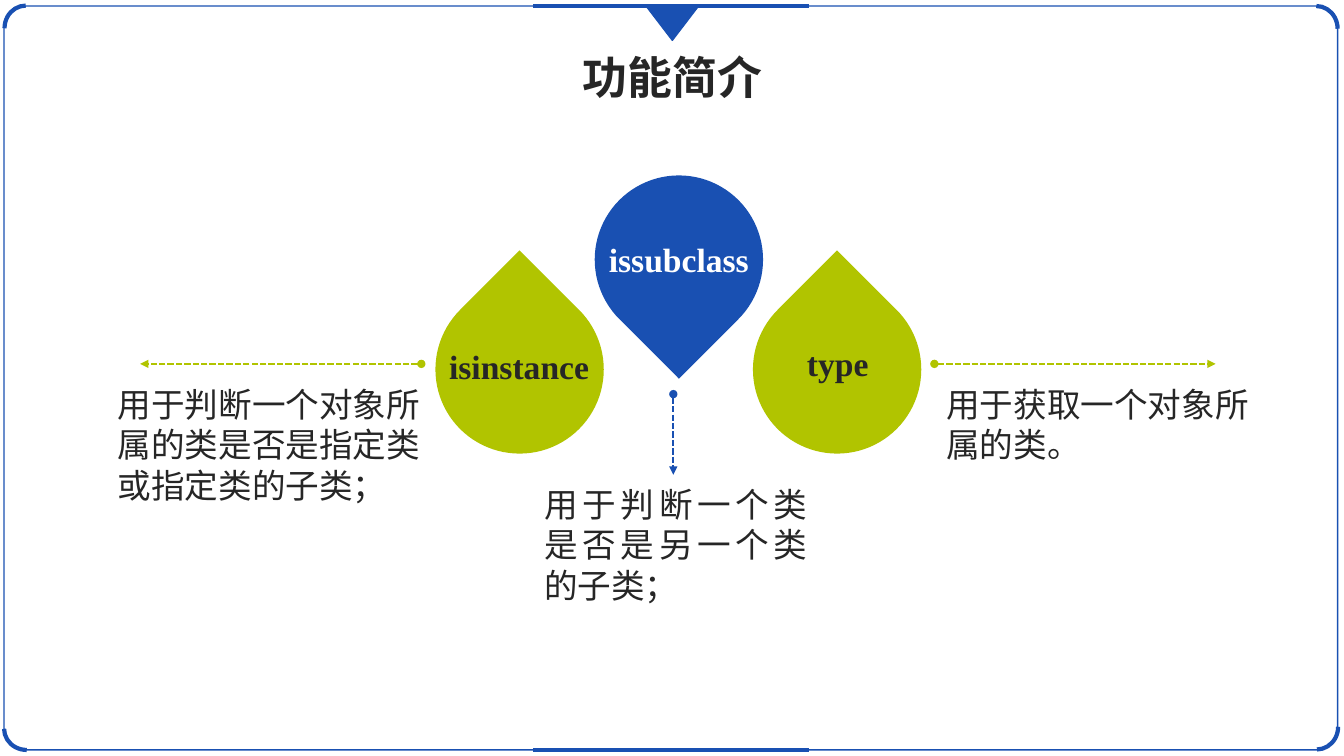
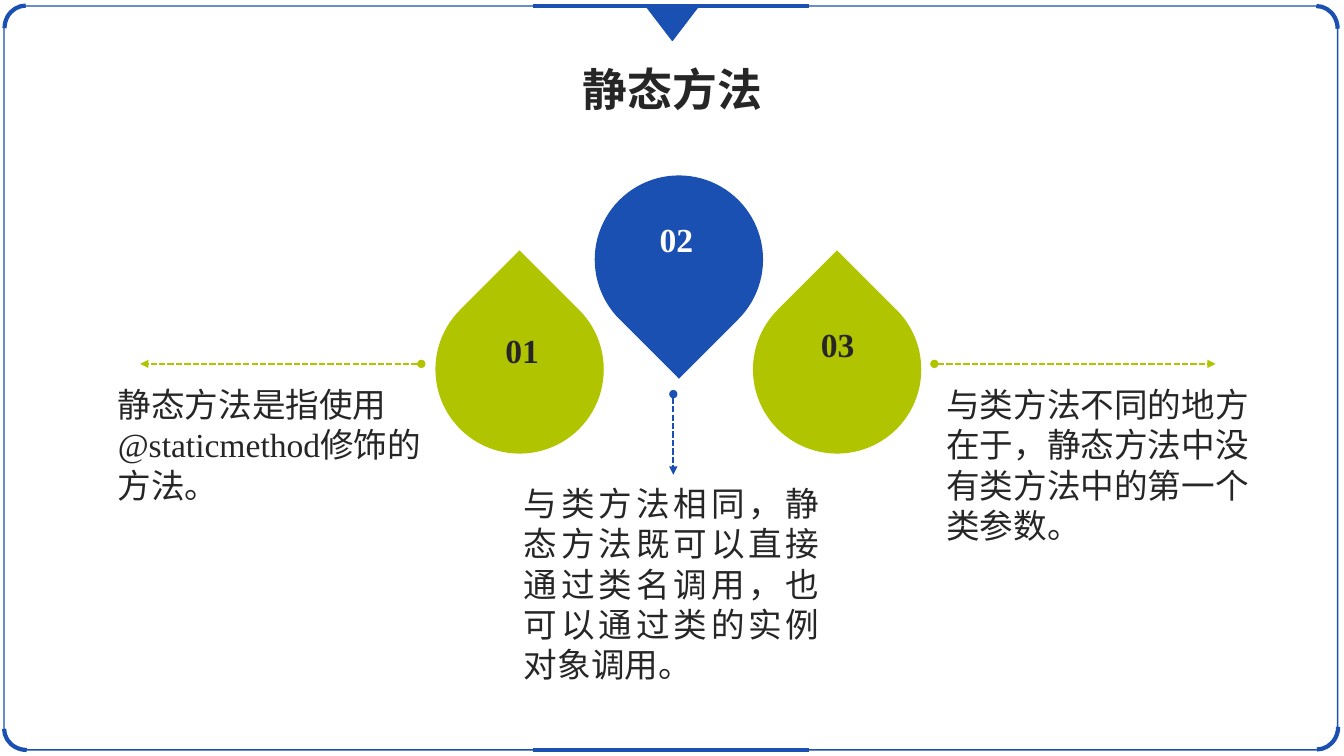
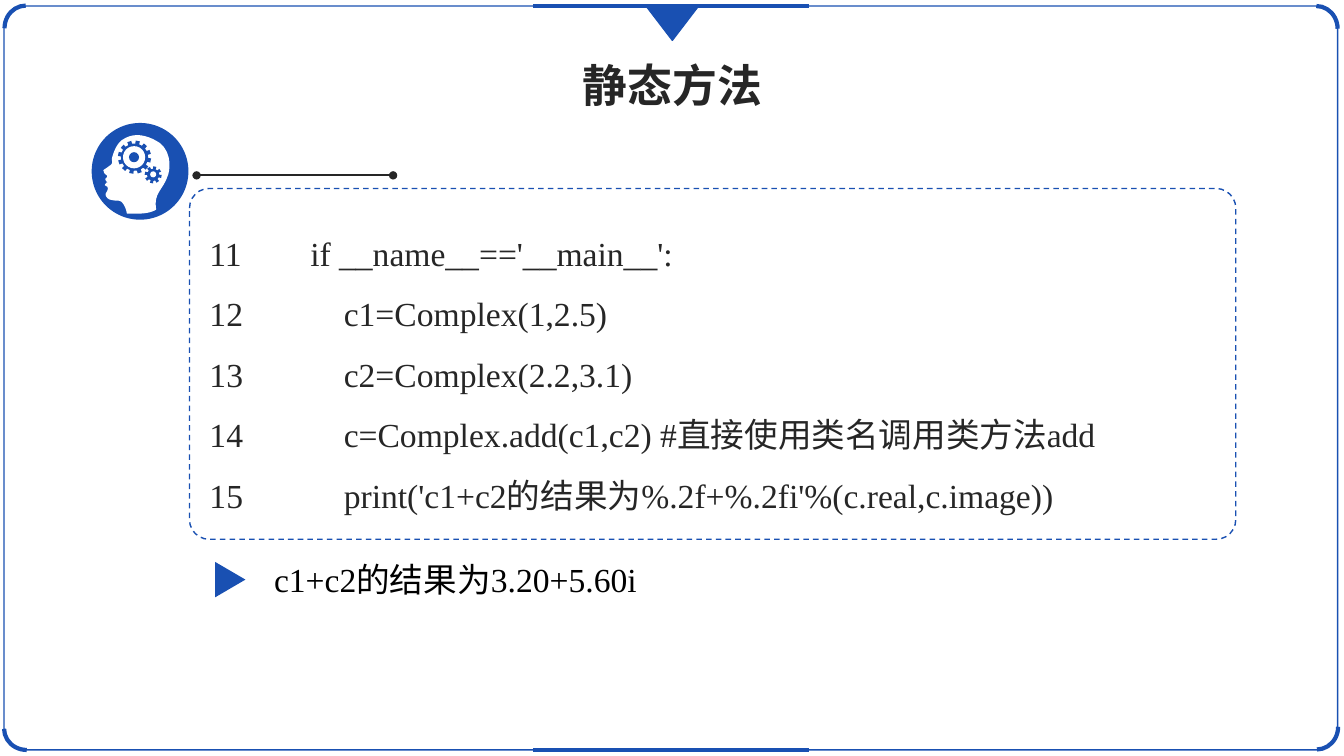
import math

from lxml import etree
from pptx import Presentation
from pptx import util as u
from pptx.dml.color import RGBColor
from pptx.enum import dml, shapes, text
from pptx.oxml import ns

PX = 9144  # EMU per px, 100 px to the inch
COLORS = {"blue": "1950B2", "green": "B1C400", "dark": "262626", "white": "FFFFFF", "black": "000000"}
RGB = {name: RGBColor.from_string(value) for name, value in COLORS.items()}
SERIF, SANS = "Times New Roman", "Noto Sans CJK SC"
KIND = shapes.MSO_SHAPE
LEFT, CENTER, JUSTIFY = text.PP_ALIGN.LEFT, text.PP_ALIGN.CENTER, text.PP_ALIGN.JUSTIFY


def add_shape(slide, kind, box, fill=None, line=None, width=1, rotation=0):
    shape = slide.shapes.add_shape(kind, *[value * PX for value in box])
    shape.shadow.inherit = False
    shape.rotation = rotation
    if fill:
        shape.fill.solid()
        shape.fill.fore_color.rgb = RGB[fill]
    else:
        shape.fill.background()
    if line:
        shape.line.color.rgb = RGB[line]
        shape.line.width = u.Pt(width)
    else:
        shape.line.fill.background()
    return shape


def add_line(slide, ends, color, width, dash=None, head=None, tail=None):
    line = slide.shapes.add_connector(shapes.MSO_CONNECTOR.STRAIGHT, *[value * PX for value in ends])
    line.line.color.rgb = RGB[color]
    line.line.width = u.Pt(width)
    if dash:
        line.line.dash_style = dash
    for tag, kind in (("a:headEnd", head), ("a:tailEnd", tail)):
        if kind:
            etree.SubElement(line.line._get_or_add_ln(), ns.qn(tag), type=kind)
    etree.SubElement(line._element.spPr, ns.qn("a:effectLst"))


presentation = Presentation()
presentation.slide_height = 750 * PX
presentation.slide_width = presentation.slide_height * 16 // 9
slides = [presentation.slides.add_slide(presentation.slide_layouts[6]) for _ in range(3)]

# Shared frame
for slide in slides:
    frame = add_shape(slide, KIND.ROUNDED_RECTANGLE, (4, 6, 1323, 738), line="blue")
    frame.adjustments[0] = 0.029
    for left, top, width, height, rotation in (
        (3, 7, 45, 42, 270), (4, 702, 45, 42, 180), (1285, 6, 42, 45, 0), (1284, 700, 45, 42, 90),
    ):
        add_shape(slide, KIND.ARC, (left, top, width, height), line="blue", width=3, rotation=rotation)
    for y in (6, 744):
        add_line(slide, (529, y, 803, y), "blue", 3)
    add_shape(slide, KIND.ISOSCELES_TRIANGLE, (641, 6, 52, 34), "blue", "blue", rotation=180)

# Drops and arrows of the first two slides
for slide in slides[:2]:
    for left, top, color, rotation in (
        (432, 283, "green", 315), (590, 174, "blue", 135), (747, 283, "green", 315),
    ):
        add_shape(slide, KIND.TEAR, (left, top, 167, 167), color, rotation=rotation)
    for ends, color in (
        ((418, 361, 139, 361), "green"), ((668, 391, 668, 471), "blue"), ((927, 361, 1206, 361), "green"),
    ):
        add_line(slide, ends, color, 1.5, dml.MSO_LINE.SQUARE_DOT, "oval", "triangle")

# Code frame, rule and result marker
code_slide = slides[2]
add_line(code_slide, (195, 174, 390, 174), "dark", 1.5, head="oval", tail="oval")
code_frame = add_shape(code_slide, KIND.ROUNDED_RECTANGLE, (188, 187, 1038, 348), line="blue")
code_frame.adjustments[0] = 0.056
code_frame.line.dash_style = dml.MSO_LINE.DASH
add_shape(code_slide, KIND.ISOSCELES_TRIANGLE, (211, 560, 35, 30), "blue", rotation=90)

# Thinking head: cubic curves, each with two controls and an end
add_shape(code_slide, KIND.OVAL, (91, 122, 96, 96), "blue")
head_curves = [
    (141, 133, 131, 132, 121, 139), (114, 144, 111, 157, 111, 158),
    (111, 160, 113, 162, 108, 165), (103, 169, 102, 168, 103, 170),
    (103, 172, 105, 173, 106, 174), (106, 174, 107, 175, 106, 176),
    (105, 177, 104, 177, 105, 179), (106, 181, 108, 181, 109, 181),
    (109, 181, 106, 181, 106, 181), (105, 182, 104, 183, 104, 184),
    (105, 184, 106, 185, 106, 185), (107, 185, 107, 187, 107, 187),
    (107, 189, 106, 190, 105, 192), (104, 193, 106, 197, 109, 198),
    (113, 199, 114, 199, 117, 199), (122, 199, 125, 206, 126, 212),
    (128, 212, 134, 212, 136, 212), (143, 212, 150, 211, 155, 208),
    (152, 191, 162, 189, 167, 173), (169, 166, 171, 146, 152, 138),
]
head = [(152, 138)]
for x1, y1, x2, y2, x3, y3 in head_curves:
    x0, y0 = head[-1]
    for step in range(1, 9):
        t = step / 8
        weights = ((1 - t) ** 3, 3 * t * (1 - t) ** 2, 3 * t * t * (1 - t), t ** 3)
        head.append(tuple(sum(w * v for w, v in zip(weights, values))
                          for values in ((x0, x1, x2, x3), (y0, y1, y2, y3))))

# Gears: four corners to a tooth
outlines = [(head, "white")]
for center_x, center_y, root, tip, teeth in ((133.5, 156, 13.5, 16.5, 12), (152, 173.5, 6, 8.5, 8)):
    gear = []
    for tooth in range(teeth):
        for offset, radius in ((-0.28, root), (-0.24, tip), (0.24, tip), (0.28, root)):
            angle = 2 * math.pi * (tooth + offset) / teeth + 0.2
            gear.append((center_x + radius * math.cos(angle), center_y + radius * math.sin(angle)))
    outlines.append((gear, "blue"))
for points, color in outlines:
    points = [(x * PX, y * PX) for x, y in points]
    builder = code_slide.shapes.build_freeform(*points[0], scale=1.0)
    builder.add_line_segments(points[1:], close=True)
    outline = builder.convert_to_shape()
    outline.shadow.inherit = False
    outline.fill.solid()
    outline.fill.fore_color.rgb = RGB[color]
    outline.line.fill.background()
for left, top, size, color in ((122, 145, 22, "white"), (128, 151, 10, "blue"), (149, 170, 6, "white")):
    add_shape(code_slide, KIND.OVAL, (left, top, size, size), color)

# Text: slide number, box, lines, size, bold, colour, alignment, latin font
texts = [
    (number, (264, top, 806, 64), [title], 32, True, "dark", CENTER, font)
    for number, (top, title, font) in enumerate(
        ((44, "功能简介", SERIF), (56, "静态方法", SANS), (52, "静态方法", SANS)))
]
for number, box, label, color in (
    (0, (435, 338, 160, 50), "isinstance", "dark"),
    (0, (593, 232, 161, 50), "issubclass", "white"),
    (0, (790, 335, 82, 50), "type", "dark"),
    (1, (491, 322, 54, 50), "01", "dark"),
    (1, (644, 212, 54, 50), "02", "white"),
    (1, (804, 316, 54, 50), "03", "dark"),
):
    texts.append((number, box, [label], 24, True, color, CENTER, SERIF))
for number, box, body, align in (
    (0, (107, 376, 328, 131), "用于判断一个对象所属的类是否是指定类或指定类的子类；", LEFT),
    (0, (530, 475, 281, 131), "用于判断一个类是否是另一个类的子类；", JUSTIFY),
    (0, (929, 376, 328, 91), "用于获取一个对象所属的类。", LEFT),
    (1, (107, 376, 328, 131), "静态方法是指使用@staticmethod修饰的方法。", LEFT),
    (1, (510, 474, 313, 212), "与类方法相同，静态方法既可以直接通过类名调用，也可以通过类的实例对象调用。", JUSTIFY),
    (1, (929, 376, 328, 172), "与类方法不同的地方在于，静态方法中没有类方法中的第一个类参数。", LEFT),
):
    texts.append((number, box, [body], 24, False, "dark", align, SERIF))
code = [
    "11\tif __name__=='__main__':",
    "12\t    c1=Complex(1,2.5)",
    "13\t    c2=Complex(2.2,3.1)",
    "14\t    c=Complex.add(c1,c2) #直接使用类名调用类方法add",
    "15\t    print('c1+c2的结果为%.2f+%.2fi'%(c.real,c.image))",
]
texts.append((2, (198, 206, 1067, 306), code, 24, False, "dark", LEFT, SERIF))
texts.append((2, (262, 550, 748, 50), ["c1+c2的结果为3.20+5.60i"], 24, False, "black", LEFT, SERIF))

for number, box, lines, size, bold, color, align, font in texts:
    frame = slides[number].shapes.add_textbox(*[value * PX for value in box]).text_frame
    frame.word_wrap = align != CENTER or size == 32
    frame.auto_size = text.MSO_AUTO_SIZE.SHAPE_TO_FIT_TEXT
    for index, line in enumerate(lines):
        paragraph = frame.paragraphs[0] if index == 0 else frame.add_paragraph()
        paragraph.alignment = align
        if lines is code:
            paragraph.line_spacing = 1.5
            tabs = etree.SubElement(paragraph._p.get_or_add_pPr(), ns.qn("a:tabLst"))
            etree.SubElement(tabs, ns.qn("a:tab"), pos=str(100 * PX), algn="l")
        run = paragraph.add_run()
        run.text = line
        run.font.name = font
        run.font.size = u.Pt(size)
        run.font.bold = bold
        run.font.color.rgb = RGB[color]
        etree.SubElement(run.font._element, ns.qn("a:ea"), typeface=SANS)

presentation.save("out.pptx")
